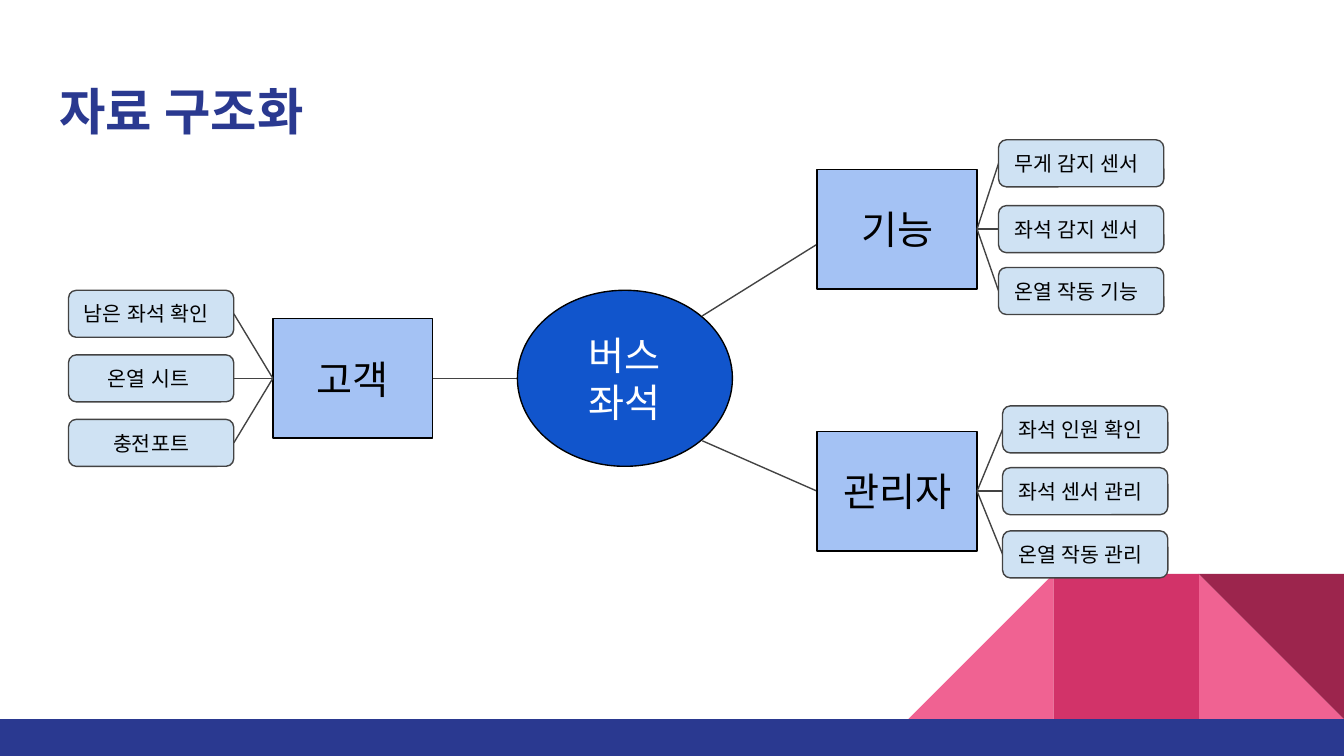
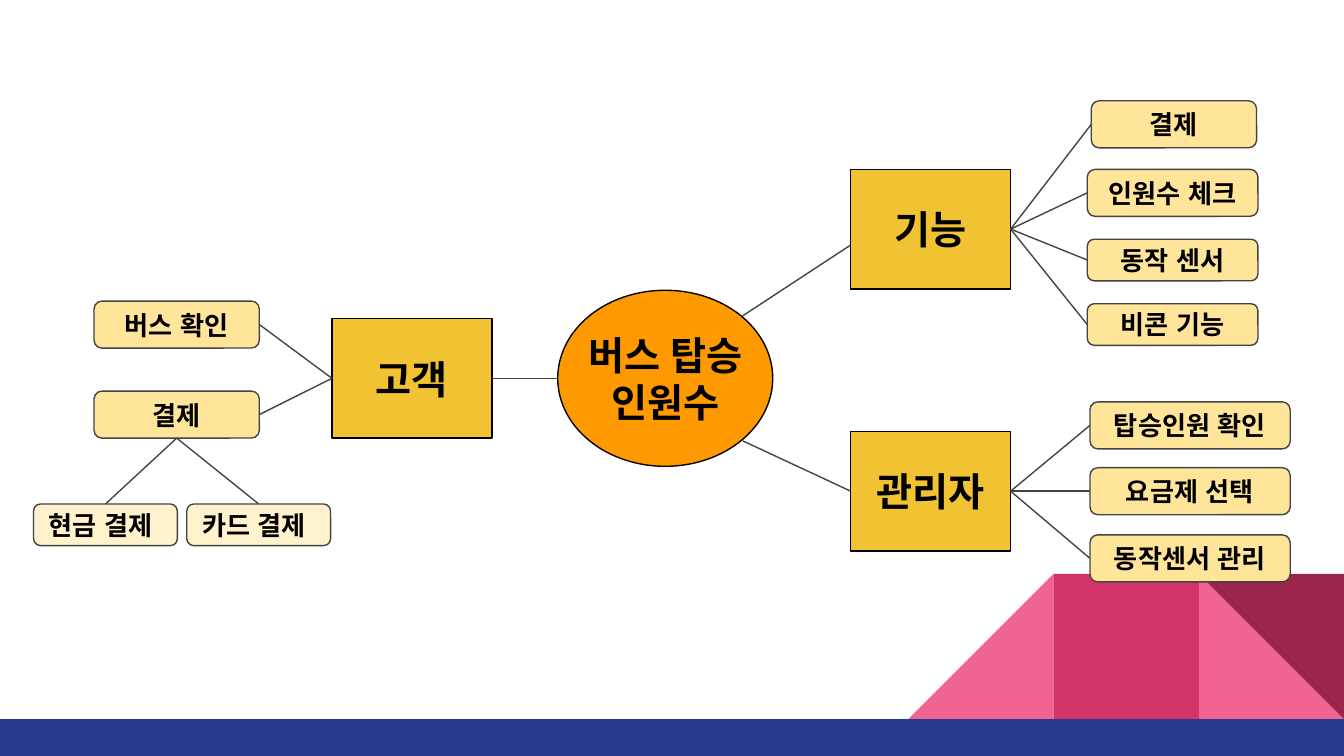
from dataclasses import dataclass

from pptx import Presentation
from pptx.dml.color import RGBColor
from pptx.enum.shapes import MSO_CONNECTOR, MSO_SHAPE
from pptx.enum.text import MSO_ANCHOR, MSO_AUTO_SIZE, PP_ALIGN
from pptx.oxml.ns import qn
from pptx.oxml.xmlchemy import OxmlElement
from pptx.util import Inches, Pt

WIDTH, HEIGHT = Inches(10), Inches(5.625)
UNIT = WIDTH / 100
COLS, ROWS = 100, HEIGHT / UNIT

NAVY = RGBColor(0x2A, 0x39, 0x90)
PINK = RGBColor(0xF0, 0x62, 0x92)
ROSE = RGBColor(0xD2, 0x33, 0x69)
WINE = RGBColor(0x9C, 0x25, 0x4D)
BLACK = RGBColor(0x00, 0x00, 0x00)
WHITE = RGBColor(0xFF, 0xFF, 0xFF)
GRAY = RGBColor(0x43, 0x43, 0x43)
BLUE = RGBColor(0x11, 0x55, 0xCC)
SKY = RGBColor(0xA4, 0xC2, 0xF4)
ICE = RGBColor(0xCF, 0xE2, 0xF3)
ORANGE = RGBColor(0xFF, 0x99, 0x00)
GOLD = RGBColor(0xF1, 0xC2, 0x32)
SAND = RGBColor(0xFF, 0xE5, 0x99)
CREAM = RGBColor(0xFF, 0xF2, 0xCC)

HEAD_FONT = "Roboto"
HUB_W, HUB_H = 16, 13.1
BOX_W, BOX_H = 11.9, 8.9
HUB_TOP, CUSTOMER_TOP, FEATURE_TOP, MANAGER_TOP = 21.6, 23.7, 12.6, 32.1
LEAF_W, LEAF_H = 12.3, 3.5


@dataclass
class Style:
    hub: RGBColor
    hub_text: RGBColor
    box: RGBColor
    leaf: RGBColor
    leaf_font: str
    leaf_size: int
    bold: bool


COOL = Style(BLUE, WHITE, SKY, ICE, HEAD_FONT, 11, False)
WARM = Style(ORANGE, BLACK, GOLD, SAND, "Arial", 14, True)


def grid(*values):
    return [round(v * UNIT) for v in values]


def add_text(p, text, font, size, color, bold):
    r = p.add_run()
    r.text = text
    r.font.name = font
    r.font.size = Pt(size)
    r.font.bold = bold
    r.font.color.rgb = color
    ea = OxmlElement("a:ea")
    ea.set("typeface", font)
    r.font._element.find(qn("a:latin")).addnext(ea)


def add_figure(s, kind, x, y, w, h, fill, line=None):
    sp = s.shapes.add_shape(kind, *grid(x, y, w, h))
    sp.shadow.inherit = False
    sp.fill.solid()
    sp.fill.fore_color.rgb = fill
    if line is None:
        sp.line.fill.background()
    else:
        sp.line.color.rgb = line
        sp.line.width = Pt(0.75)
    return sp


def add_label(sp, lines, font, size, color, bold, align=PP_ALIGN.CENTER):
    tf = sp.text_frame
    tf.word_wrap = len(lines) == 1
    tf.vertical_anchor = MSO_ANCHOR.MIDDLE
    tf.margin_left = tf.margin_right = Inches(0.1)
    tf.margin_top = tf.margin_bottom = 0
    for i, text in enumerate(lines):
        p = tf.add_paragraph() if i else tf.paragraphs[0]
        p.alignment = align
        add_text(p, text, font, size, color, bold)


def add_line(s, start, end):
    line = s.shapes.add_connector(MSO_CONNECTOR.STRAIGHT, *grid(*start, *end))
    line.line.color.rgb = GRAY
    line.line.width = Pt(0.75)
    line._element.spPr.append(OxmlElement("a:effectLst"))


def add_box(s, x, y, text, style):
    sp = add_figure(s, MSO_SHAPE.RECTANGLE, x, y, BOX_W, BOX_H, style.box, BLACK)
    add_label(sp, [text], HEAD_FONT, 21, BLACK, style.bold)


def add_leaf(s, x, y, w, h, text, style, align=PP_ALIGN.CENTER, fill=None):
    sp = add_figure(s, MSO_SHAPE.ROUNDED_RECTANGLE, x, y, w, h, fill or style.leaf, GRAY)
    add_label(sp, [text], style.leaf_font, style.leaf_size, BLACK, style.bold, align)


def add_fan(s, root, x, leaves, style, w=LEAF_W, h=LEAF_H, align=PP_ALIGN.CENTER):
    edge = x if root[0] < x else x + w
    for top, text in leaves:
        add_line(s, root, (edge, top + h / 2))
        add_leaf(s, x, top, w, h, text, style, align)


def add_core(s, hub_x, hub_lines, customer_x, right_x, style):
    middle = CUSTOMER_TOP + BOX_H / 2
    shoulder = hub_x + HUB_W * 0.86
    add_line(s, (customer_x + BOX_W, middle), (hub_x, middle))
    add_line(s, (shoulder, HUB_TOP + 11.2), (right_x, MANAGER_TOP + BOX_H / 2))
    add_line(s, (shoulder, HUB_TOP + 1.9), (right_x + 1.8, FEATURE_TOP + BOX_H / 2))
    hub = add_figure(s, MSO_SHAPE.OVAL, hub_x, HUB_TOP, HUB_W, HUB_H, style.hub, BLACK)
    add_label(hub, hub_lines, HEAD_FONT, 21, style.hub_text, style.bold)
    add_box(s, customer_x, CUSTOMER_TOP, "고객", style)
    add_box(s, right_x, FEATURE_TOP, "기능", style)
    add_box(s, right_x, MANAGER_TOP, "관리자", style)
    right = right_x + BOX_W
    return ((customer_x, middle), (right, FEATURE_TOP + BOX_H / 2),
            (right, MANAGER_TOP + BOX_H / 2))


def add_master_band(s, master):
    side, band = 10.8, 2.75
    top = ROWS - band - side
    left, center, right = (COLS - side * n for n in (3, 2, 1))
    tri = MSO_SHAPE.RIGHT_TRIANGLE
    pink_right = add_figure(s, tri, right, top, side, side, PINK)
    pink_left = add_figure(s, tri, left, top, side, side, PINK)
    pink_left._element.spPr.find(qn("a:xfrm")).set("flipH", "1")
    square = add_figure(s, MSO_SHAPE.RECTANGLE, center, top, side, side, ROSE)
    corner = add_figure(s, tri, right, top, side, side, WINE)
    corner.rotation = 180
    strip = add_figure(s, MSO_SHAPE.RECTANGLE, 0, ROWS - band, COLS, band, NAVY)
    for sp in (pink_right, pink_left, square, corner, strip):
        master.element.cSld.spTree.append(sp._element)


def set_title(s, text):
    title = s.shapes.title
    title.left, title.top, title.width, title.height = grid(3.4, 4.9, 93.2, 6.6)
    tf = title.text_frame
    tf.auto_size = MSO_AUTO_SIZE.NONE
    tf.word_wrap = True
    tf.vertical_anchor = MSO_ANCHOR.MIDDLE
    tf.margin_left = tf.margin_right = tf.margin_top = tf.margin_bottom = Inches(0.1)
    p = tf.paragraphs[0]
    p.alignment = PP_ALIGN.LEFT
    add_text(p, text, HEAD_FONT, 27, NAVY, True)


def build_seat_slide(s):
    set_title(s, "자료 구조화")
    customer, feature, manager = add_core(s, 38.5, ["버스 좌석"], 20.3, 60.8, COOL)
    left = PP_ALIGN.LEFT
    add_fan(s, customer, 5.1, [(21.6, "남은 좌석 확인")], COOL, align=left)
    add_fan(s, customer, 5.1, [(26.4, "온열 시트 "), (31.2, "충전포트")], COOL)
    add_fan(s, feature, 74.3, [(10.4, "무게 감지 센서"), (15.3, "좌석 감지 센서"),
                               (19.9, "온열 작동 기능")], COOL, align=left)
    add_fan(s, manager, 74.6, [(30.2, "좌석 인원 확인"), (34.8, "좌석 센서 관리"),
                               (39.5, "온열 작동 관리")], COOL, align=left)


def build_boarding_slide(s):
    title = s.shapes.title._element
    title.getparent().remove(title)
    customer, feature, manager = add_core(
        s, 41.5, ["버스 탑승", "인원수"], 24.7, 63.3, WARM)
    add_fan(s, customer, 7, [(22.4, "버스 확인"), (29.1, "결제")], WARM)
    add_fan(s, feature, 81.2, [(7.5, "결제")], WARM)
    add_fan(s, feature, 80.9, [(12.6, "인원수 체크")], WARM, w=12.7)
    add_fan(s, feature, 80.9, [(17.8, "동작 센서"), (22.6, "비콘 기능")],
            WARM, w=12.7, h=3.1)
    add_fan(s, manager, 81.1, [(29.9, "탑승인원 확인"), (34.8, "요금제 선택"),
                               (39.8, "동작센서 관리")], WARM, w=14.9)
    payment = (7 + LEAF_W / 2, 29.1 + LEAF_H)
    for x, text in ((2.5, "현금 결제"), (13.9, "카드 결제")):
        add_line(s, payment, (x + 10.7 / 2, 37.5))
        add_leaf(s, x, 37.5, 10.7, 3.1, text, WARM, PP_ALIGN.LEFT, CREAM)


def main():
    prs = Presentation()
    prs.slide_width, prs.slide_height = WIDTH, HEIGHT
    layout = prs.slide_layouts[5]
    seats, boarding = (prs.slides.add_slide(layout) for _ in range(2))
    add_master_band(seats, prs.slide_master)
    build_seat_slide(seats)
    build_boarding_slide(boarding)
    prs.save("out.pptx")


if __name__ == "__main__":
    main()
